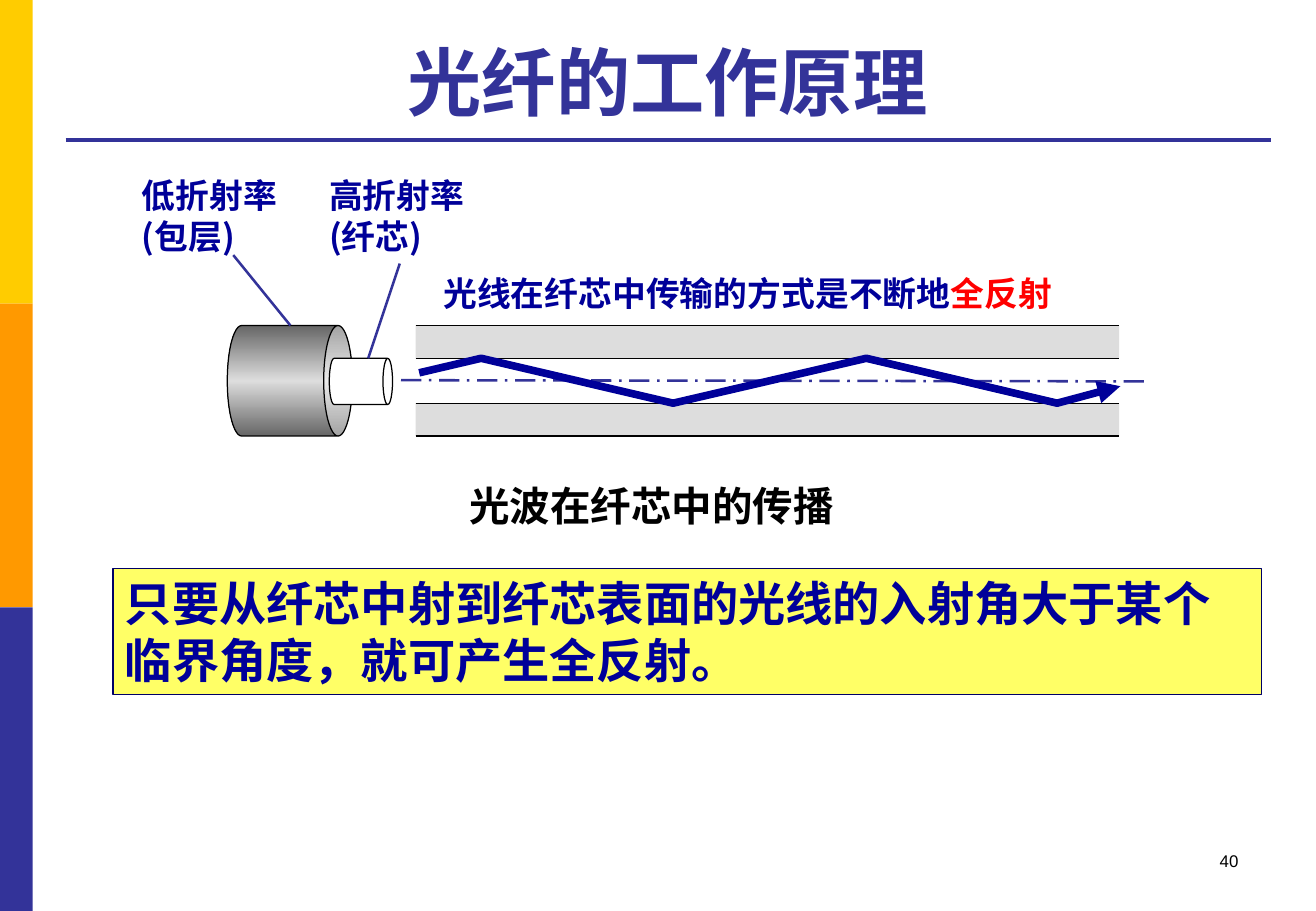
from copy import deepcopy
from dataclasses import dataclass

from pptx import Presentation, util as u
from pptx.dml.color import RGBColor
from pptx.enum import dml, shapes, text
from pptx.oxml.ns import qn
from pptx.util import Inches


@dataclass(frozen=True)
class Theme:
    yellow: str = "FFCC00"
    orange: str = "FF9900"
    indigo: str = "333399"
    navy: str = "000099"
    red: str = "FF0000"
    black: str = "000000"
    white: str = "FFFFFF"
    grey: str = "DDDDDD"
    dark_grey: str = "666666"
    note_fill: str = "FFFF66"
    note_line: str = "000066"
    font: str = "Arial"
    label_font: str = "Noto Sans CJK SC"
    title_size: int = 44
    note_size: int = 28
    caption_size: int = 24
    label_size: int = 20
    number_size: int = 10
    label_spacing: int = 24
    thin: float = 0.75
    pointer: float = 1.5
    rule: float = 2.25
    ray: float = 4.5


THEME = Theme()
PP_ALIGN = text.PP_ALIGN
FIBRE_LEFT, FIBRE_RIGHT = 3.42, 9.21
CLADDING_TOP, CORE_TOP, CORE_BOTTOM, CLADDING_BOTTOM = 2.68, 2.95, 3.32, 3.59


def rgb(value):
    return RGBColor.from_string(value)


def set_line(line, color, width):
    line.color.rgb = rgb(color)
    line.width = u.Pt(width)


def add_block(slide, box, fill, line=None, kind=shapes.MSO_SHAPE.RECTANGLE):
    shape = slide.shapes.add_shape(kind, *map(Inches, box))
    shape.shadow.inherit = False
    shape.fill.solid()
    shape.fill.fore_color.rgb = rgb(fill)
    if line:
        set_line(shape.line, line, THEME.thin)
    else:
        shape.line.fill.background()
    return shape


def add_cylinder(slide, box, depth, fill):
    shape = add_block(slide, box, fill, THEME.black, shapes.MSO_SHAPE.CAN)
    shape.rotation = 90
    shape.adjustments[0] = depth
    return shape


def shade_cylinder(shape):
    """Dark edges with a light middle."""
    shape.fill.gradient()
    shape.fill.gradient_angle = 0
    first = shape.fill.gradient_stops[0]
    stop_list = shape.fill._xPr.find(qn("a:gradFill")).find(qn("a:gsLst"))
    stop_list.append(deepcopy(stop_list[0]))
    colors = (THEME.dark_grey, THEME.grey, THEME.dark_grey)
    for index, (stop, color) in enumerate(zip(shape.fill.gradient_stops, colors)):
        stop.position = index / 2
        stop.color.rgb = rgb(color)


def add_line(slide, start, end, color, width, dash=None):
    connector = slide.shapes.add_connector(
        shapes.MSO_CONNECTOR.STRAIGHT, *map(Inches, start + end))
    set_line(connector.line, color, width)
    if dash:
        connector.line.dash_style = dash
    properties = connector._element.spPr
    properties.append(properties.makeelement(qn("a:effectLst"), {}))


def add_ray(slide, points):
    corners = [(Inches(x), Inches(y)) for x, y in points]
    builder = slide.shapes.build_freeform(*corners[0], scale=1.0)
    builder.add_line_segments(corners[1:], close=False)
    shape = builder.convert_to_shape()
    shape.shadow.inherit = False
    shape.fill.background()
    set_line(shape.line, THEME.navy, THEME.ray)
    outline = shape._element.spPr.find(qn("a:ln"))
    outline.append(outline.makeelement(qn("a:tailEnd"), {"type": "triangle"}))


def write_text(shape, paragraphs, size, align=PP_ALIGN.LEFT, font=THEME.font,
               bold=True, wrap=True, anchor=text.MSO_ANCHOR.TOP, spacing=None):
    """Each paragraph is a list of (words, color) runs."""
    frame = shape.text_frame
    frame.word_wrap = wrap
    frame.vertical_anchor = anchor
    for index, runs in enumerate(paragraphs):
        paragraph = frame.add_paragraph() if index else frame.paragraphs[0]
        paragraph.alignment = align
        if spacing:
            paragraph.line_spacing = u.Pt(spacing)
        for words, color in runs:
            run = paragraph.add_run()
            run.text = words
            run.font.size = u.Pt(size)
            run.font.bold = bold
            run.font.name = font
            run.font.color.rgb = rgb(color)
            properties = run.font._element
            properties.append(properties.makeelement(qn("a:ea"), {"typeface": font}))


def add_text(slide, box, paragraphs, size, **style):
    write_text(slide.shapes.add_textbox(*map(Inches, box)), paragraphs, size, **style)


def add_label(slide, box, paragraphs):
    add_text(slide, box, paragraphs, THEME.label_size, font=THEME.label_font,
             wrap=False, spacing=THEME.label_spacing)


def add_frame(slide):
    # Side bands, title and rule
    for index, color in enumerate((THEME.yellow, THEME.orange, THEME.indigo)):
        add_block(slide, (0, 2.5 * index, 0.27, 2.5), color)
    add_line(slide, (0.54, 1.15), (10.46, 1.15), THEME.indigo, THEME.rule)
    add_text(slide, (0.54, 0.21, 9.91, 0.87), [[("光纤的工作原理", THEME.indigo)]],
             THEME.title_size, align=PP_ALIGN.CENTER, anchor=text.MSO_ANCHOR.BOTTOM)


def add_fibre(slide):
    # Lengthwise section: cladding, core, cladding
    edges = (CLADDING_TOP, CORE_TOP, CORE_BOTTOM, CLADDING_BOTTOM)
    layers = (THEME.grey, THEME.white, THEME.grey)
    for top, bottom, color in zip(edges, edges[1:], layers):
        add_block(slide, (FIBRE_LEFT, top, FIBRE_RIGHT - FIBRE_LEFT, bottom - top), color)

    # Fibre end: cladding and core cylinders
    shade_cylinder(add_cylinder(slide, (1.93, 2.62, 0.91, 1.03), 0.26, THEME.grey))
    add_cylinder(slide, (2.78, 2.88, 0.38, 0.52), 0.207, THEME.white)

    # Layer edges and axis
    for y in edges:
        add_line(slide, (FIBRE_LEFT, y), (FIBRE_RIGHT, y), THEME.black, THEME.thin)
    add_line(slide, (3.3, 3.13), (9.43, 3.14), THEME.indigo, THEME.pointer,
             dml.MSO_LINE.LONG_DASH_DOT)

    # Labels and their pointers
    labels = (
        (2.61, "高折射率", "(纤芯)", (3.29, 2.17), (3.03, 2.95)),
        (1.07, "低折射率", "(包层)", (1.92, 2.1), (2.39, 2.68)),
    )
    for left, index_name, part, start, end in labels:
        add_label(slide, (left, 1.39, 1.33, 0.77),
                  [[(index_name, THEME.navy)], [(part, THEME.navy)]])
        add_line(slide, start, end, THEME.indigo, THEME.pointer)
    add_label(slide, (3.55, 2.2, 5.28, 0.44),
              [[("光线在纤芯中传输的方式是不断地", THEME.navy), ("全反射", THEME.red)]])

    # Reflected light ray
    add_ray(slide, [(3.45, 3.07), (3.96, CORE_TOP), (5.54, CORE_BOTTOM),
                    (7.13, CORE_TOP), (8.7, CORE_BOTTOM), (9.22, 3.18)])


def add_notes(slide):
    # Caption, conclusion and page number
    add_text(slide, (2.35, 3.91, 6.02, 0.5), [[("光波在纤芯中的传播", THEME.black)]],
             THEME.caption_size, align=PP_ALIGN.CENTER)
    conclusion = add_block(slide, (0.93, 4.68, 9.45, 1.04), THEME.note_fill, THEME.note_line)
    write_text(conclusion, [[("只要从纤芯中射到纤芯表面的光线的入射角大于某个"
                              "临界角度，就可产生全反射。", THEME.navy)]], THEME.note_size)
    add_text(slide, (7.76, 6.95, 2.53, 0.5), [[("40", THEME.black)]],
             THEME.number_size, align=PP_ALIGN.RIGHT, bold=False)


def main():
    presentation = Presentation()
    presentation.slide_width = Inches(10.83)
    presentation.slide_height = Inches(7.5)
    slide = presentation.slides.add_slide(presentation.slide_layouts[6])
    add_frame(slide)
    add_fibre(slide)
    add_notes(slide)
    presentation.save("out.pptx")


if __name__ == "__main__":
    main()
